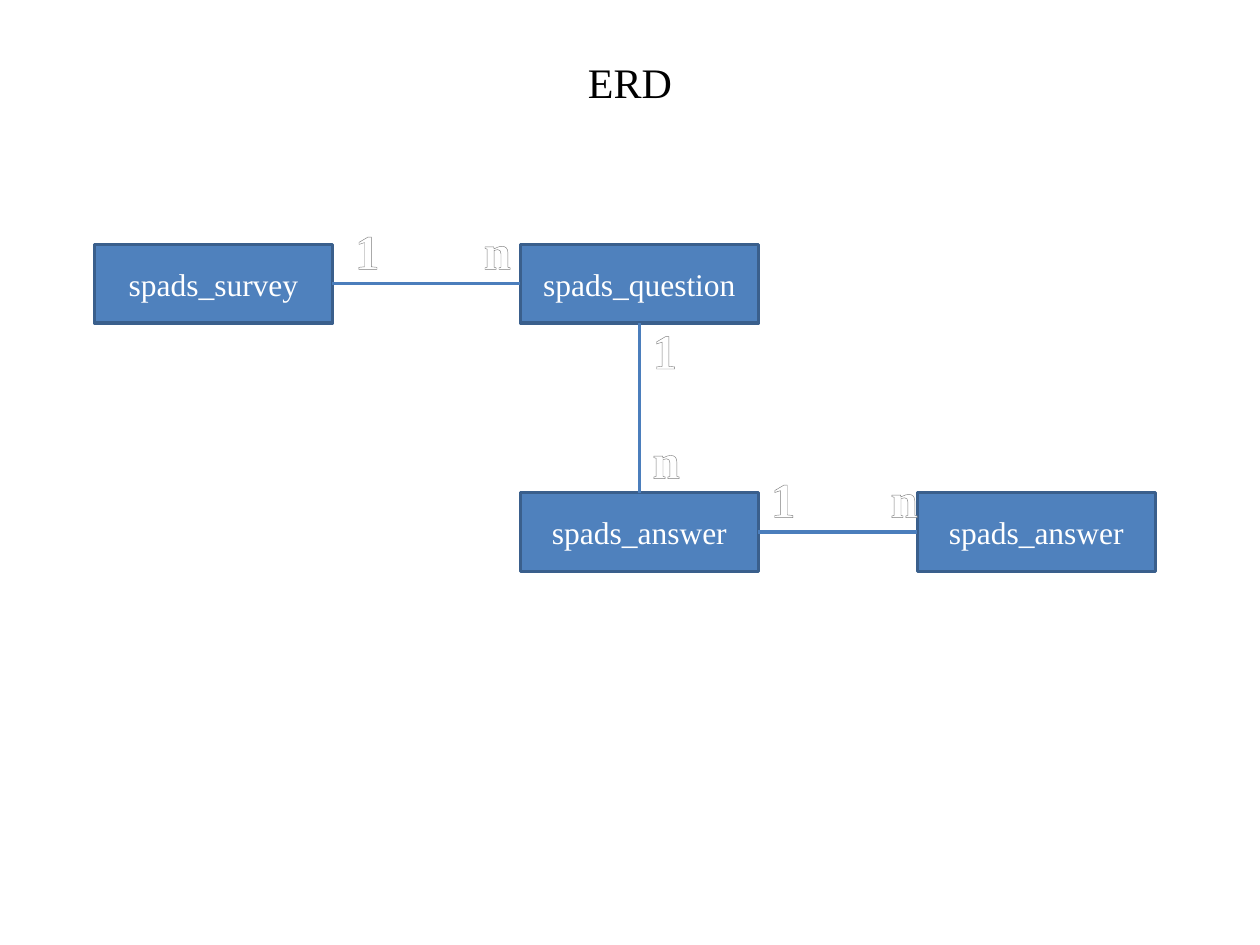
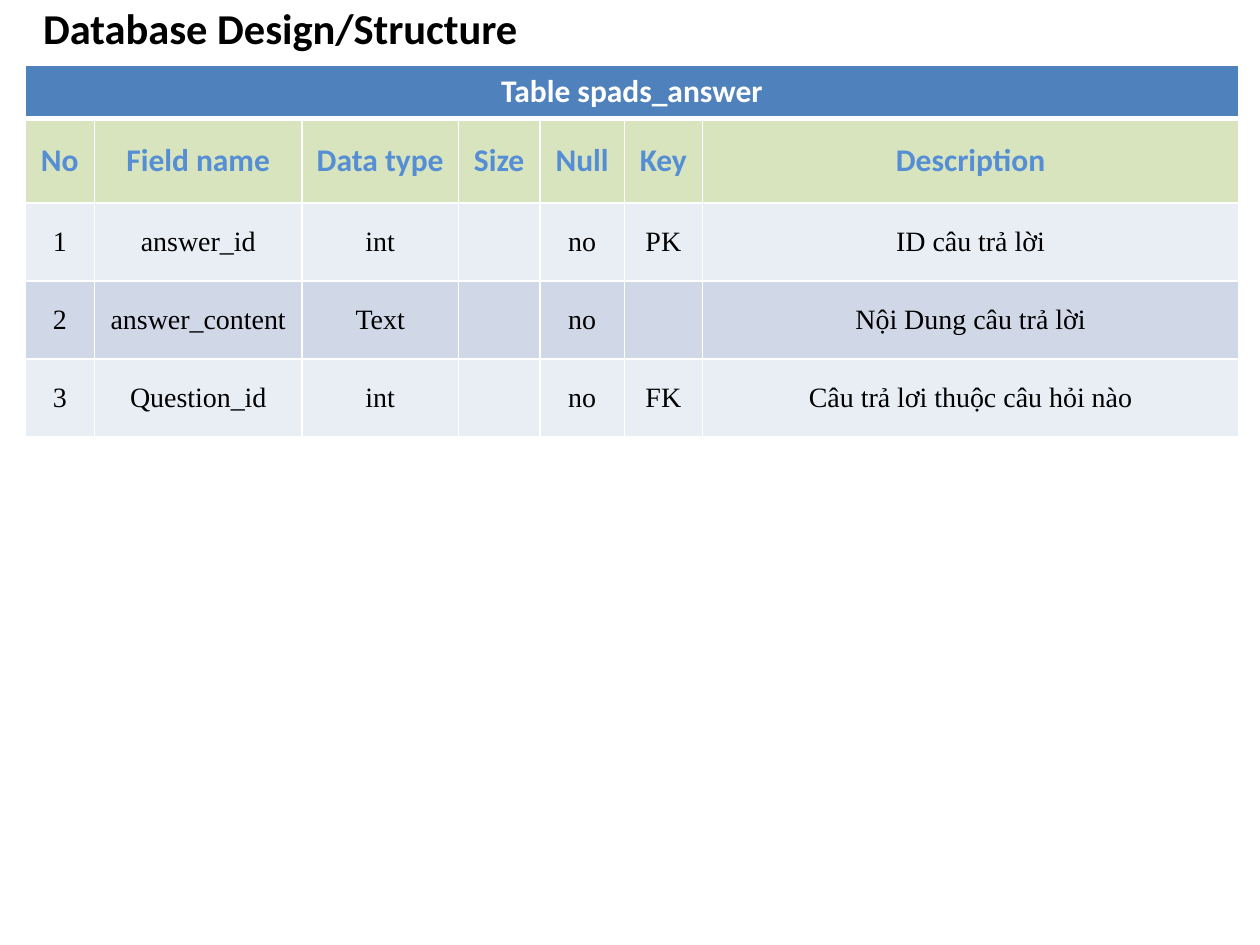
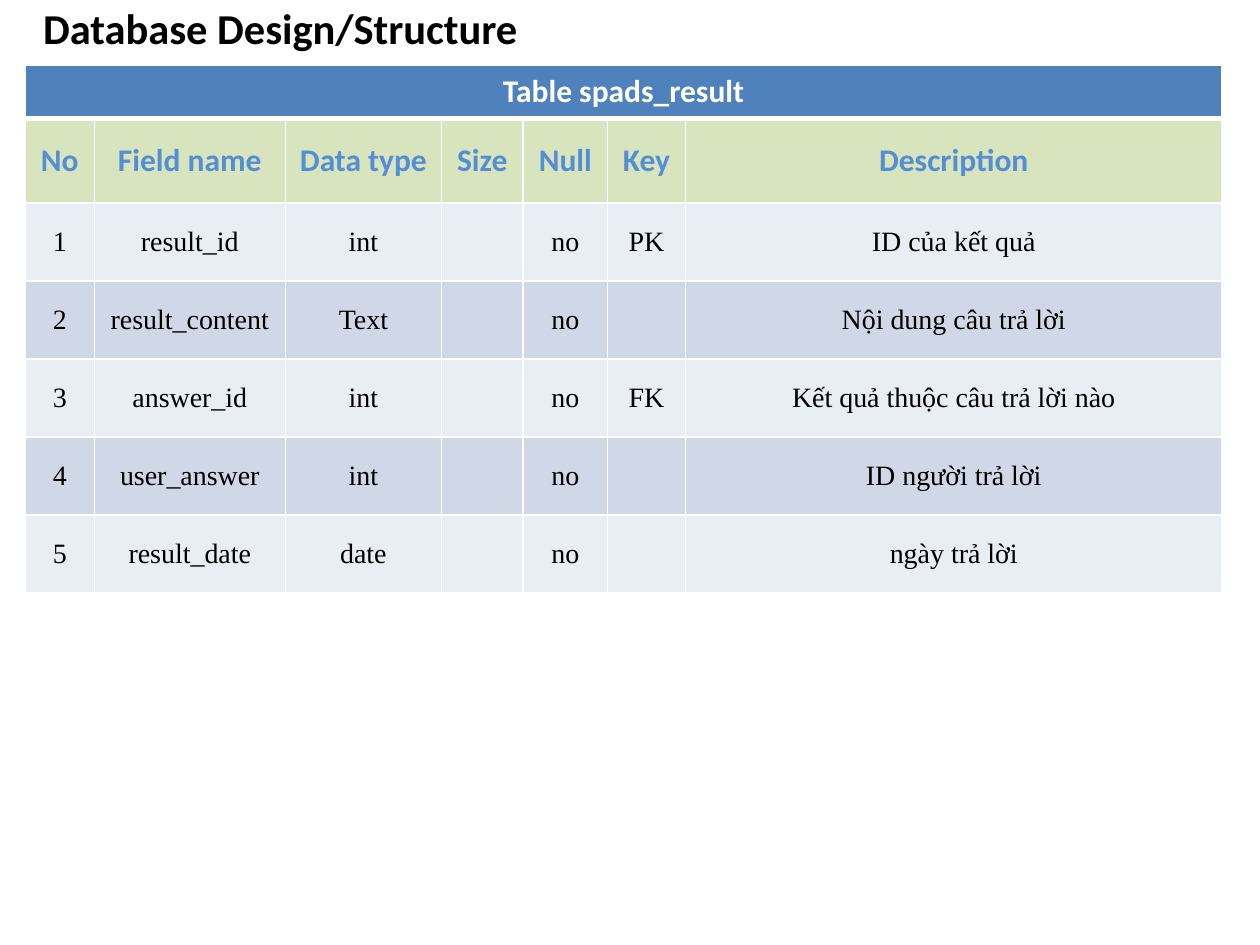
from lxml import etree
from pptx import Presentation
from pptx.dml.color import RGBColor
from pptx.enum.shapes import MSO_CONNECTOR as CONN, MSO_SHAPE as SHAPE
from pptx.enum.text import MSO_ANCHOR as ANCHOR, MSO_AUTO_SIZE as AUTO, PP_ALIGN as ALIGN
from pptx.oxml import parse_xml
from pptx.oxml.ns import nsdecls, qn
from pptx.util import Pt

BLACK = RGBColor(0x00, 0x00, 0x00)
WHITE = RGBColor(0xFF, 0xFF, 0xFF)
BLUE = RGBColor(0x4F, 0x81, 0xBD)
BOX_EDGE = RGBColor(0x3A, 0x5F, 0x8C)
LINK_BLUE = RGBColor(0x4B, 0x7E, 0xBC)
HEAD_TEXT = RGBColor(0x55, 0x8E, 0xD5)
HEAD_FILL = RGBColor(0xD7, 0xE4, 0xBD)
BAND_LIGHT = RGBColor(0xE9, 0xED, 0xF4)
BAND_DARK = RGBColor(0xD0, 0xD8, 0xE8)
OUTLINE_GREY = RGBColor(0x7D, 0x7D, 0x7D)
MID_GREY = RGBColor(0x7F, 0x7F, 0x7F)

SERIF, SANS = "Times New Roman", "Calibri"
ERD_TITLE = {"name": SERIF, "size": Pt(24)}
TABLE_TITLE = {"name": SANS, "size": Pt(24.3), "bold": True}
BOX_TEXT = {"name": SERIF, "size": Pt(18)}
LABEL_TEXT = {"name": SERIF, "size": Pt(28), "bold": True}
HEAD_FONT = {"name": SANS, "size": Pt(18), "bold": True}
BODY_FONT = {"name": SERIF, "size": Pt(16), "bold": False}

BOX_W, BOX_H = 136, 45
TITLE_ONLY = 5
HEADERS = ["No", "Field name", "Data type", "Size", "Null", "Key", "Description"]
GLOSS_STOPS = [(0, WHITE), (9, WHITE), (50, MID_GREY), (79, WHITE), (100, WHITE)]

ANSWER_FIELDS = [
    ("answer_id", "int", "PK", "ID câu trả lời"),
    ("answer_content", "Text", "", "Nội Dung câu trả lời"),
    ("Question_id", "int", "FK", "Câu trả lơi thuộc câu hỏi nào"),
]
RESULT_FIELDS = [
    ("result_id", "int", "PK", "ID của kết quả"),
    ("result_content", "Text", "", "Nội dung câu trả lời"),
    ("answer_id", "int", "FK", "Kết quả thuộc câu trả lời nào"),
    ("user_answer", "int", "", "ID người trả lời"),
    ("result_date", "date", "", "ngày trả lời"),
]


def write(tf, text, style, color):
    """Write one centred paragraph and return its run."""
    p = tf.paragraphs[0]
    p.alignment = ALIGN.CENTER
    r = p.add_run()
    r.text = text
    for name, value in style.items():
        setattr(r.font, name, value)
    r.font.color.rgb = color
    return r


def add_slide(prs, title, box, style):
    """Add a slide with its title placed in box."""
    s = prs.slides.add_slide(prs.slide_layouts[TITLE_ONLY])
    sp = s.shapes.title
    sp.left, sp.top, sp.width, sp.height = map(Pt, box)
    sp.text_frame.vertical_anchor = ANCHOR.MIDDLE
    write(sp.text_frame, title, style, BLACK)
    return s


def add_entity(s, name, left, top):
    """Draw one entity box."""
    sp = s.shapes.add_shape(SHAPE.RECTANGLE, Pt(left), Pt(top), Pt(BOX_W), Pt(BOX_H))
    sp.shadow.inherit = False
    sp.fill.solid()
    sp.fill.fore_color.rgb = BLUE
    sp.line.color.rgb = BOX_EDGE
    sp.line.width = Pt(2)
    sp.text_frame.vertical_anchor = ANCHOR.MIDDLE
    write(sp.text_frame, name, BOX_TEXT, WHITE)
    return sp


def add_link(s, start, start_site, end, end_site):
    """Join two entities at the given connection sites."""
    c = s.shapes.add_connector(CONN.STRAIGHT, 0, 0, 0, 0)
    c.begin_connect(start, start_site)
    c.end_connect(end, end_site)
    c.line.color.rgb = LINK_BLUE
    c.line.width = Pt(2)
    etree.SubElement(c._element.spPr, qn("a:effectLst"))


def add_cardinality(s, text, left, top):
    """Place a glossy, outlined cardinality label."""
    sp = s.shapes.add_textbox(Pt(left), Pt(top), Pt(22.3), Pt(41.2))
    tf = sp.text_frame
    tf.word_wrap = True
    tf.auto_size = AUTO.SHAPE_TO_FIT_TEXT
    r = write(tf, text, LABEL_TEXT, WHITE)
    rpr = r.font._element
    rpr.remove(rpr.find(qn("a:solidFill")))
    stops = "".join(f'<a:gs pos="{pos * 1000}"><a:srgbClr val="{color}"/></a:gs>'
                    for pos, color in GLOSS_STOPS)
    rpr.insert(0, parse_xml(f'<a:gradFill {nsdecls("a")}><a:gsLst>{stops}</a:gsLst>'
                            '<a:lin ang="5400000"/></a:gradFill>'))
    rpr.insert(0, parse_xml(f'<a:ln {nsdecls("a")} w="{Pt(0.83)}"><a:solidFill>'
                            f'<a:srgbClr val="{OUTLINE_GREY}"/></a:solidFill></a:ln>'))


def format_cell(cell, fill, top=1, bottom=1):
    """Give a cell white borders, a fill and middle anchoring."""
    tcpr = cell._tc.get_or_add_tcPr()
    for side, width in {"L": 1, "R": 1, "T": top, "B": bottom}.items():
        tcpr.append(parse_xml(f'<a:ln{side} {nsdecls("a")} w="{Pt(width)}"><a:solidFill>'
                              f'<a:srgbClr val="{WHITE}"/></a:solidFill></a:ln{side}>'))
    cell.fill.solid()
    cell.fill.fore_color.rgb = fill
    cell.vertical_anchor = ANCHOR.MIDDLE


def add_field_table(s, name, fields, name_width):
    """Add a table that describes the fields of a database table."""
    widths = [39.5, name_width, 89.2, 46.7, 48.2, 44.6, 306.6]
    heights = [30.2, 48.2] + [44.6] * len(fields)
    frame = s.shapes.add_table(len(heights), len(widths), Pt(14.4), Pt(37.5),
                               Pt(sum(widths)), Pt(sum(heights)))
    table = frame.table
    table.first_row = table.horz_banding = False
    for col, width in zip(table.columns, widths):
        col.width = Pt(width)
    for row, height in zip(table.rows, heights):
        row.height = Pt(height)

    for cell in table.rows[0].cells:
        format_cell(cell, BLUE, bottom=3)
    table.cell(0, 0).merge(table.cell(0, len(widths) - 1))
    write(table.cell(0, 0).text_frame, f"Table {name}", HEAD_FONT, WHITE)

    for cell, text in zip(table.rows[1].cells, HEADERS):
        format_cell(cell, HEAD_FILL, top=3)
        write(cell.text_frame, text, HEAD_FONT, HEAD_TEXT)

    for no, (field, kind, key, description) in enumerate(fields, 1):
        values = [str(no), field, kind, "", "no", key, description]
        for cell, text in zip(table.rows[no + 1].cells, values):
            format_cell(cell, BAND_LIGHT if no % 2 else BAND_DARK)
            if text:
                write(cell.text_frame, text, BODY_FONT, BLACK)


def add_erd_slide(prs):
    """Build the entity relationship diagram."""
    s = add_slide(prs, "ERD", (36, 21.6, 648, 49.7), ERD_TITLE)
    upper, lower, middle = 139.6, 281.5, 297.4
    survey = add_entity(s, "spads_survey", 54, upper)
    question = add_entity(s, "spads_question", middle, upper)
    answer = add_entity(s, "spads_answer", middle, lower)
    last_answer = add_entity(s, "spads_answer", 524.2, lower)

    top, left, bottom, right = range(4)
    add_link(s, survey, right, question, left)
    add_link(s, question, bottom, answer, top)
    add_link(s, last_answer, left, answer, right)

    for text, x, y in [("1", 195.8, 122.4), ("n", 269.3, 122.4),
                       ("1", 365.8, 179.3), ("n", 365.8, 241.9),
                       ("1", 433.4, 264.2), ("n", 501.8, 264.2)]:
        add_cardinality(s, text, x, y)


def add_table_slide(prs, name, fields, name_width):
    """Build one slide of the database design."""
    s = add_slide(prs, "Database Design/Structure", (0, 0, 320.4, 32), TABLE_TITLE)
    add_field_table(s, name, fields, name_width)


def main():
    """Build and save the presentation."""
    prs = Presentation()
    prs.slide_width, prs.slide_height = Pt(720), Pt(540)
    add_erd_slide(prs)
    add_table_slide(prs, "spads_answer", ANSWER_FIELDS, 118.8)
    add_table_slide(prs, "spads_result", RESULT_FIELDS, 109.2)
    prs.save("out.pptx")


main()
